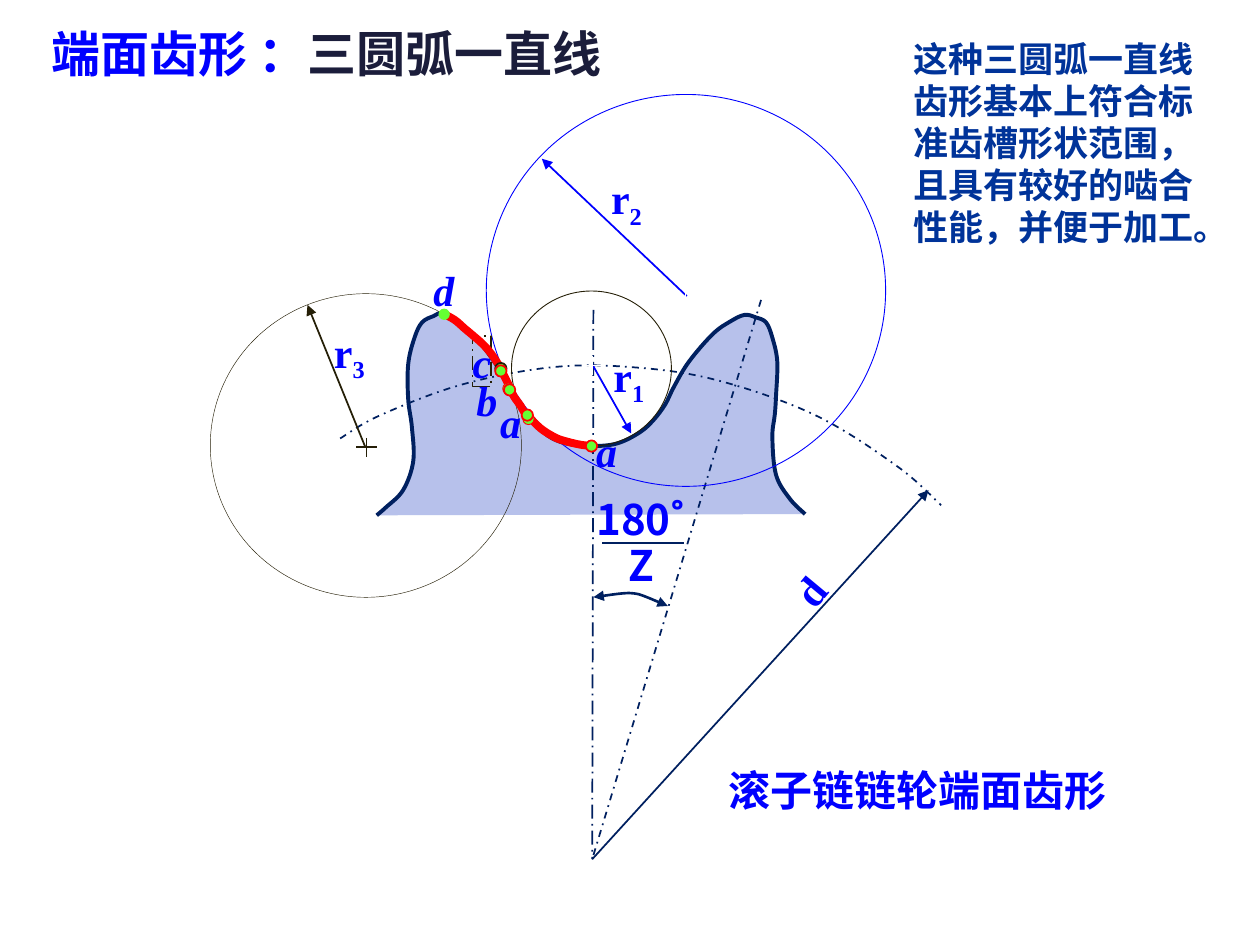
from lxml import etree
from pptx import Presentation
from pptx.dml.color import RGBColor
from pptx.enum.dml import MSO_LINE
from pptx.enum.shapes import MSO_CONNECTOR, MSO_SHAPE
from pptx.enum.text import MSO_ANCHOR, MSO_AUTO_SIZE, PP_ALIGN
from pptx.oxml.ns import qn
from pptx.util import Pt

STRAIGHT = MSO_CONNECTOR.STRAIGHT
OVAL = MSO_SHAPE.OVAL
DASH_DOT = MSO_LINE.DASH_DOT
LONG_DASH_DOT = MSO_LINE.LONG_DASH_DOT
TOP = MSO_ANCHOR.TOP
FIT_SHAPE = MSO_AUTO_SIZE.SHAPE_TO_FIT_TEXT
LEFT, CENTER = PP_ALIGN.LEFT, PP_ALIGN.CENTER

CJK, SERIF = "Noto Sans CJK SC", "Times New Roman"
NAVY, BLUE, RED, BLACK, WHITE = "002060", "0000FF", "FF0000", "251F07", "FFFFFF"
GREEN, TOOTH_FILL = "66FF33", "B7C1EB"
rgb = RGBColor.from_string

prs = Presentation()
prs.slide_width, prs.slide_height = Pt(720), Pt(540)
slide = prs.slides.add_slide(prs.slide_layouts[5])
shapes = slide.shapes


def stroke(points, color, width, dash=None, arrows=(), fill=None):
    points = [(Pt(x), Pt(y)) for x, y in points]
    if len(points) == 2:
        curve = shapes.add_connector(STRAIGHT, *points[0], *points[1])
        etree.SubElement(curve._element.spPr, qn("a:effectLst"))
    else:
        builder = shapes.build_freeform(*points[0], scale=1.0)
        builder.add_line_segments(points[1:], close=False)
        curve = builder.convert_to_shape()
        curve.shadow.inherit = False
        if fill:
            curve.fill.solid()
            curve.fill.fore_color.rgb = rgb(fill)
        else:
            curve.fill.background()
        left, top = min(x for x, y in points), min(y for x, y in points)
        knots = [(x - left, y - top) for x, y in points]
        padded = [knots[0]] + knots + [knots[-1]]
        for i, segment in enumerate(list(curve._element.iter(qn("a:lnTo")))):
            before, start, end, after = padded[i:i + 4]
            bezier = etree.Element(qn("a:cubicBezTo"))
            handles = [
                [s + (e - b) / 6 for b, s, e in zip(before, start, end)],
                [e - (a - s) / 6 for s, e, a in zip(start, end, after)],
                end,
            ]
            for x, y in handles:
                etree.SubElement(bezier, qn("a:pt"), x=str(round(x)), y=str(round(y)))
            segment.getparent().replace(segment, bezier)
    curve.line.color.rgb = rgb(color)
    curve.line.width = Pt(width)
    if dash:
        curve.line.dash_style = dash
    for end in arrows:
        etree.SubElement(curve.line._get_or_add_ln(), qn(f"a:{end}"), type="triangle")


def oval(left, top, width, height, line, line_width, fill=None):
    circle = shapes.add_shape(OVAL, Pt(left), Pt(top), Pt(width), Pt(height))
    circle.shadow.inherit = False
    if fill:
        circle.fill.solid()
        circle.fill.fore_color.rgb = rgb(fill)
    else:
        circle.fill.background()
    if line:
        circle.line.color.rgb = rgb(line)
        circle.line.width = Pt(line_width)
    else:
        circle.line.fill.background()


tooth = [
    (215.3, 294.5), (220.3, 290.2), (230.4, 280.1), (236.2, 263.5), (235.4, 244.1),
    (233.3, 228.2), (233.3, 208.1), (236.9, 193), (241.2, 184.3), (247.7, 180.7),
    (253.4, 179.3), (264.2, 187.2), (274.3, 195.8), (285.8, 211.7), (288.7, 216.7),
    (296.6, 231.1), (302.4, 238.3), (306.7, 242.6), (313.2, 249.1), (323.3, 253.4),
    (338.4, 254.9), (352.8, 253.4), (365.8, 247), (373.7, 239.8), (380.2, 231.1),
    (385.2, 221), (393.8, 206.6), (407.5, 190.8), (417.6, 183.6), (425.5, 180),
    (432, 181.4), (437.8, 184.3), (441.4, 193), (444.2, 206.6), (443.5, 226.1),
    (442.8, 236.9), (441.4, 249.8), (443.5, 271.4), (451.4, 285.1), (460.1, 293.8),
]
pitch_arc = [
    (194.4, 250.6), (216.7, 237.6), (262.1, 220.3), (312.5, 210.2), (356.4, 209.5),
    (407.5, 216.7), (465.1, 236.9), (512.6, 266.4), (537.8, 288.7),
]
angle_arc = [(381.6, 346.3), (367.9, 340.6), (362.2, 339.1), (355.7, 339.1), (339.1, 341.3)]
wheel_center = (338.4, 491)

stroke(tooth, NAVY, 2.25, fill=TOOTH_FILL)
stroke([wheel_center, (530.6, 280.1)], NAVY, 1, arrows=["tailEnd"])
stroke(pitch_arc, NAVY, 1, DASH_DOT)
stroke([(339.1, 177.1), wheel_center], NAVY, 1, LONG_DASH_DOT)
stroke([(434.9, 171.4), wheel_center], NAVY, 1, DASH_DOT)
stroke(angle_arc, NAVY, 1.5, arrows=["headEnd", "tailEnd"])
stroke([(344.2, 310.3), (391, 310.3)], NAVY, 1)

oval(277.9, 54, 228.2, 223.9, BLUE, 0.5)
oval(120.2, 167.8, 177.8, 173.5, BLACK, 0.25)
oval(292.3, 166.3, 91.4, 88.6, BLACK, 0.5)
for start, tip, color in [
    ((392.4, 169.2), (309.6, 90.7), BLUE),
    ((208.8, 255.6), (175.7, 174.2), BLACK),
    ((338.4, 208.1), (360.7, 247.7), BLUE),
]:
    stroke([start, tip], color, 1, arrows=["tailEnd"])
for x, y, color, width in [
    (391.7, 169.9, WHITE, 0.75), (209.5, 255.6, BLACK, 1), (338.4, 208.8, WHITE, 1),
]:
    stroke([(x - 6, y), (x + 6, y)], color, width)
    stroke([(x, y - 5.4), (x, y + 5.4)], color, width)

title_parts = [("端面齿形 ：", BLUE, 0), ("三圆弧一直线", "1B1D3B", 0)]
remark = "这种三圆弧一直线齿形基本上符合标准齿槽形状范围，且具有较好的啮合性能，并便于加工。"
labels = [
    (title_parts, 29.5, 13.7, 352, 33.8, CJK, 28, 0, False),
    ([(remark, "003399", 0)], 514.8, 18, 188.6, 127.4, CJK, 20, 0, False),
    ([("滚子链链轮端面齿形", BLUE, 0)], 409, 433.4, 255.6, 36, SERIF, 24, 0, False),
    ([("180˚", BLUE, 0)], 330.2, 278.6, 71.3, 36, CJK, 24, 0, False),
    ([("Z", BLUE, 0)], 346.9, 304.6, 38.9, 36, CJK, 24, 0, False),
    ([("d", BLUE, 0)], 455.8, 323.3, 13.7, 28.8, SERIF, 24, 309.8, False),
]
for index, x, y in [("2", 349.2, 98.6), ("3", 190.8, 186.5), ("1", 350.6, 200.2)]:
    radius = [("r", BLUE, 0), (index, BLUE, -25000)]
    labels.append((radius, x, y, 18.7, 28.8, SERIF, 24, 0, False))
for letter, x, y in [
    ("d", 247.7, 151.2), ("c", 270, 192.2), ("b", 272.2, 213.8),
    ("a", 285.8, 226.8), ("a", 340.6, 243.4),
]:
    width = 10.8 if letter == "c" else 12.2
    labels.append(([(letter, BLUE, 0)], x, y, width, 28.8, SERIF, 24, 0, True))

for parts, left, top, width, height, font, size, angle, italic in labels:
    place = Pt(left), Pt(top), Pt(width), Pt(height)
    if parts is title_parts:
        box = shapes.title
        box.left, box.top, box.width, box.height = place
    else:
        box = shapes.add_textbox(*place)
    box.rotation = angle
    frame = box.text_frame
    frame.auto_size = FIT_SHAPE
    frame.vertical_anchor = TOP
    frame.word_wrap = width > 180 and parts is not title_parts
    if height < 35:
        frame.margin_left = frame.margin_right = frame.margin_top = frame.margin_bottom = 0
    paragraph = frame.paragraphs[0]
    paragraph.alignment = CENTER if parts[0][0] in ("180˚", "Z") else LEFT
    for text, color, baseline in parts:
        run = paragraph.add_run()
        run.text = text
        run.font.size = Pt(size)
        run.font.bold = True
        run.font.italic = italic
        run.font.name = font
        run.font.color.rgb = rgb(color)
        properties = run._r.get_or_add_rPr()
        etree.SubElement(properties, qn("a:ea"), typeface=CJK)
        if baseline:
            properties.set("baseline", str(baseline))
    if parts[0][0] == "c":
        box.line.color.rgb = rgb(BLACK)
        box.line.width = Pt(1)
        box.line.dash_style = LONG_DASH_DOT

for profile_part in [
    [(253.4, 179.3), (259.9, 182.9), (265.7, 187.9), (270, 191.5), (275.8, 196.6),
     (280.8, 202.3), (286.6, 211)],
    [(286.6, 211.7), (292.3, 223.2)],
    [(291.6, 222.5), (293.8, 226.8), (297.4, 231.8), (299.5, 235.4), (302.4, 239)],
    [(301.7, 237.6), (308.9, 244.8), (316.8, 249.8), (322.6, 252), (331.9, 254.2),
     (339.1, 254.9)],
]:
    stroke(profile_part, RED, 4.5)

DOT = 6.5
for x, y, line, line_width in [
    (253.8, 179.6, None, 0), (286.2, 210.6, BLACK, 1), (290.5, 222.1, RED, 0.5),
    (302, 239.4, RED, 0.5), (301.3, 237.2, RED, 1), (338, 254.9, RED, 1),
    (291.2, 222.8, RED, 1), (286.2, 212, RED, 1),
]:
    oval(x - DOT / 2, y - DOT / 2, DOT, DOT, line, line_width, GREEN)

prs.save("out.pptx")
